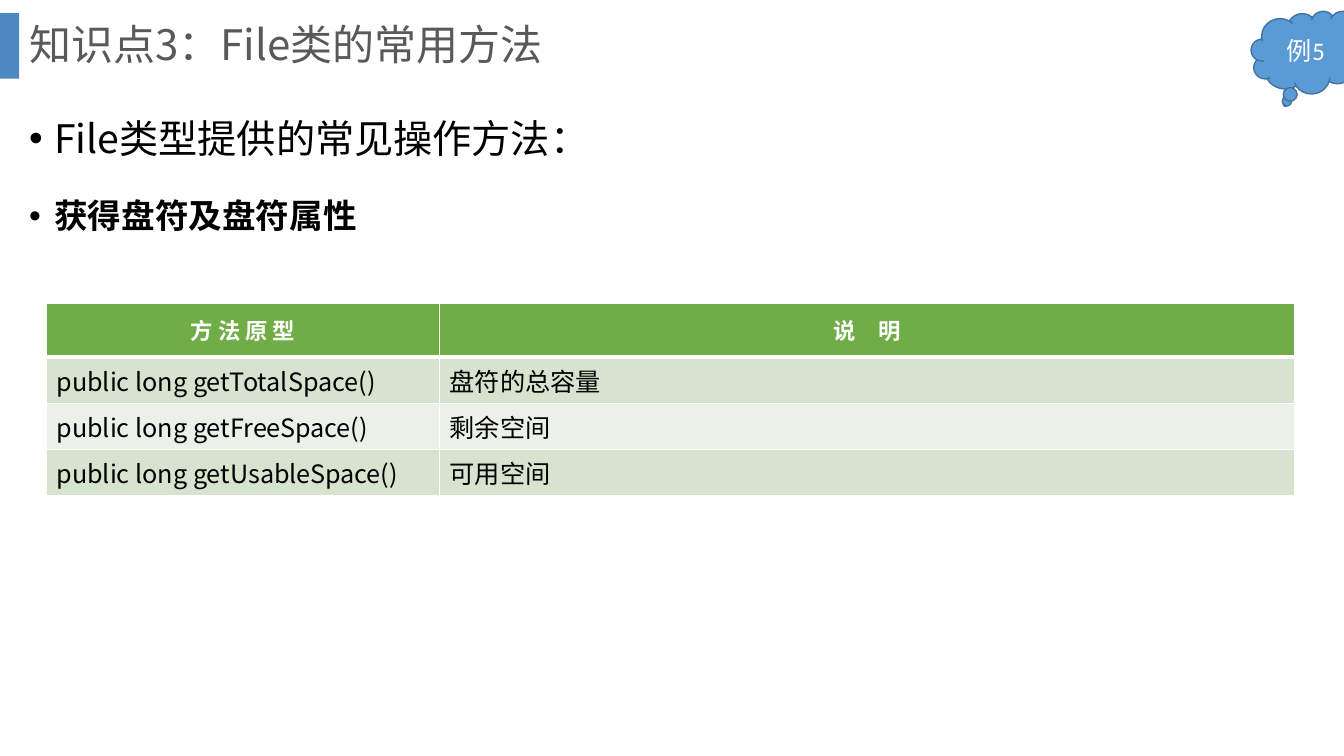
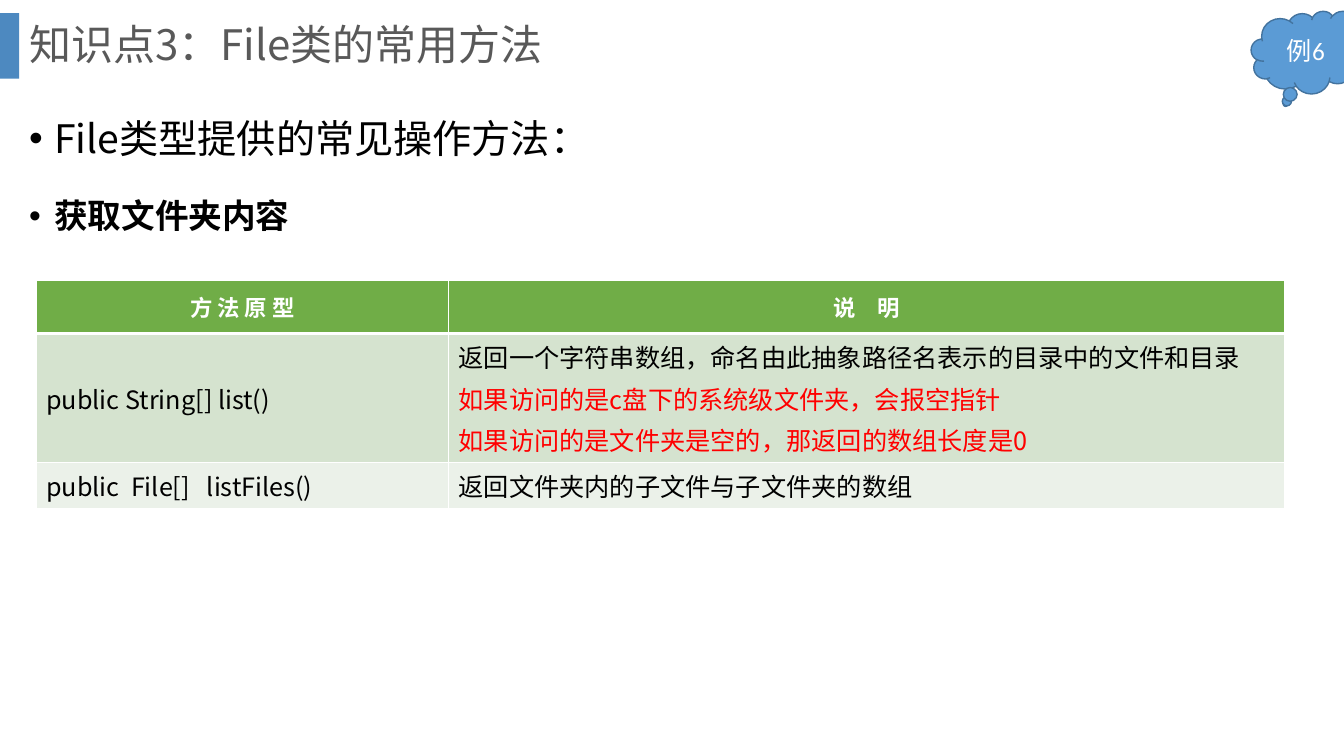
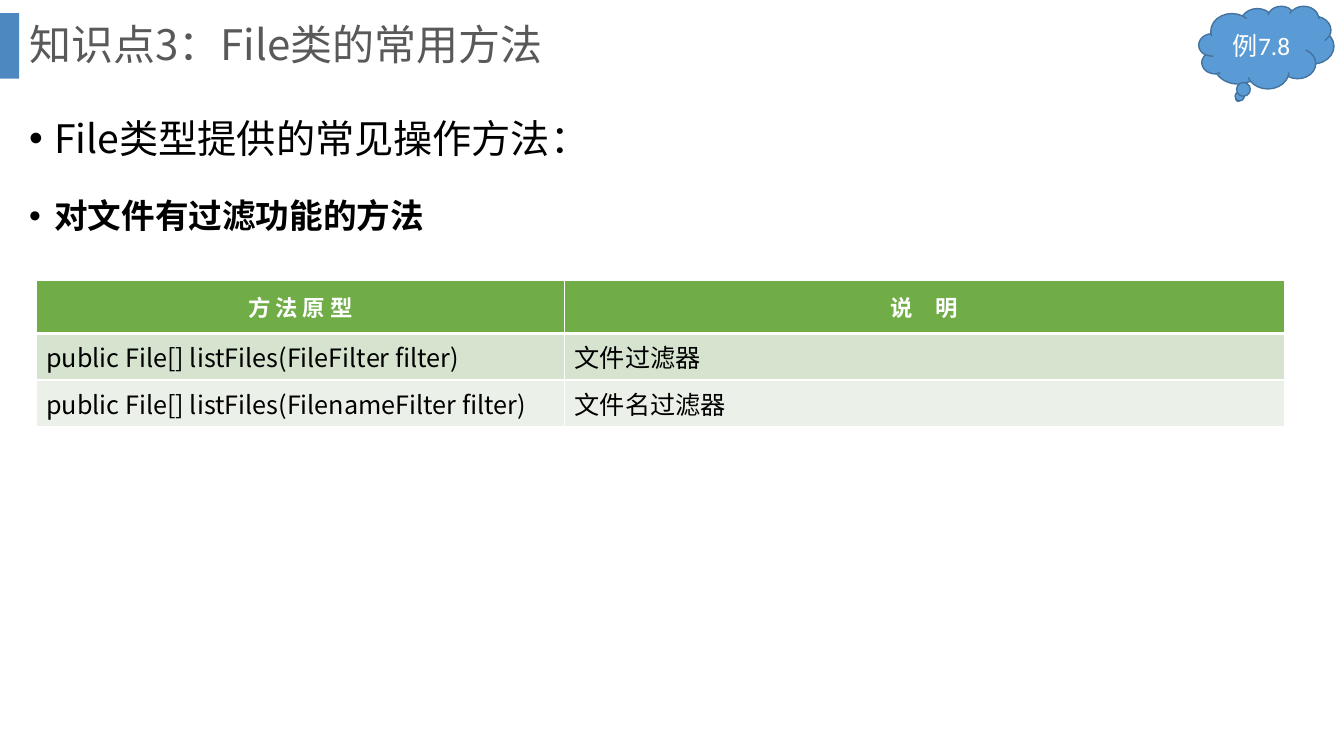
from dataclasses import dataclass

from lxml import etree
from pptx import Presentation
from pptx.dml.color import RGBColor
from pptx.enum.shapes import MSO_SHAPE
from pptx.enum.text import MSO_ANCHOR, PP_ALIGN
from pptx.oxml.ns import qn
from pptx.util import Inches, Pt

RECTANGLE = MSO_SHAPE.RECTANGLE
CLOUD = MSO_SHAPE.CLOUD_CALLOUT
TOP, MIDDLE = MSO_ANCHOR.TOP, MSO_ANCHOR.MIDDLE
LEFT, CENTER = PP_ALIGN.LEFT, PP_ALIGN.CENTER


@dataclass(frozen=True)
class Theme:
    font: str = "Noto Sans CJK SC"
    badge_font: str = "Calibri"
    title: str = "595959"
    text: str = "000000"
    warning: str = "FF0000"
    white: str = "FFFFFF"
    bar: str = "2E75B6"
    header: str = "70AD47"
    bands: tuple = ("D5E3CF", "EBF1E9")
    cloud: str = "5B9BD5"
    cloud_line: str = "43739E"
    title_size: int = 30
    lead_size: int = 28
    topic_size: int = 24
    cell_size: int = 18
    header_size: int = 16


THEME = Theme()
TITLE = "知识点3：File类的常用方法"
LEAD = "File类型提供的常见操作方法："
HEADINGS = ("方 法 原 型", "说　明")
TABLE_WIDTH, HEADER_HEIGHT = 12.38, 0.53
ROW_HEIGHT, EXTRA_LINE_HEIGHT = 0.46, 0.41

# Each description is a list of lines; lines after the first are warnings
SLIDES = [
    {
        "topic": "获得盘符及盘符属性",
        "badge": ("例5", 12.41, 0.11, 1.17),
        "table_at": (0.46, 3.01),
        "method_width": 3.9,
        "methods": [
            ("public long getTotalSpace()", ["盘符的总容量"]),
            ("public long getFreeSpace()", ["剩余空间"]),
            ("public long getUsableSpace()", ["可用空间"]),
        ],
    },
    {
        "topic": "获取文件夹内容",
        "badge": ("例6", 12.41, 0.11, 1.17),
        "table_at": (0.36, 2.78),
        "method_width": 4.09,
        "methods": [
            ("public String[] list()", [
                "返回一个字符串数组，命名由此抽象路径名表示的目录中的文件和目录",
                "如果访问的是c盘下的系统级文件夹，会报空指针",
                "如果访问的是文件夹是空的，那返回的数组长度是0",
            ]),
            ("public  File[]   listFiles()", ["返回文件夹内的子文件与子文件夹的数组"]),
        ],
    },
    {
        "topic": "对文件有过滤功能的方法",
        "badge": ("例7.8", 11.89, 0.06, 1.34),
        "table_at": (0.36, 2.78),
        "method_width": 5.24,
        "methods": [
            ("public File[] listFiles(FileFilter filter)", ["文件过滤器"]),
            ("public File[] listFiles(FilenameFilter filter)", ["文件名过滤器"]),
        ],
    },
]


def write(para, text, size, color, bold=False, align=LEFT, font=THEME.font):
    para.text = text
    para.alignment = align
    para.font.size = Pt(size)
    para.font.bold = bold
    para.font.color.rgb = RGBColor.from_string(color)
    para.font.name = font
    east_asian = etree.SubElement(para.font._element, qn("a:ea"))
    east_asian.set("typeface", THEME.font)


def style_cell(cell, fill, top_width, bottom_width):
    cell.vertical_anchor = MIDDLE
    properties = cell._tc.get_or_add_tcPr()
    edges = {"a:lnL": 1, "a:lnR": 1, "a:lnT": top_width, "a:lnB": bottom_width}
    for edge, width in edges.items():
        line = etree.SubElement(properties, qn(edge), w=str(Pt(width)))
        solid = etree.SubElement(line, qn("a:solidFill"))
        etree.SubElement(solid, qn("a:srgbClr"), val=THEME.white)
    cell.fill.solid()
    cell.fill.fore_color.rgb = RGBColor.from_string(fill)


deck = Presentation()
deck.slide_width, deck.slide_height = Inches(13.33), Inches(7.5)

for content in SLIDES:
    page = deck.slides.add_slide(deck.slide_layouts[6])

    # Accent bar beside the title
    bar = page.shapes.add_shape(RECTANGLE, 0, Inches(0.13), Inches(0.19), Inches(0.65))
    bar.shadow.inherit = False
    bar.fill.solid()
    bar.fill.fore_color.rgb = RGBColor.from_string(THEME.bar)
    bar_color = bar._element.spPr.find(qn("a:solidFill")).find(qn("a:srgbClr"))
    etree.SubElement(bar_color, qn("a:alpha"), val="85000")
    bar.line.fill.background()

    # Title
    title_box = page.shapes.add_textbox(Inches(0.19), 0, Inches(12.66), Inches(0.93))
    title_box.text_frame.word_wrap = True
    title_box.text_frame.vertical_anchor = MIDDLE
    title_para = title_box.text_frame.paragraphs[0]
    title_para.line_spacing = 0.9
    write(title_para, TITLE, THEME.title_size, THEME.title)

    # Bulleted lead and topic
    body_box = page.shapes.add_textbox(Inches(0.19), Inches(0.85), Inches(12.9), Inches(5.96))
    body = body_box.text_frame
    body.word_wrap = True
    body.vertical_anchor = TOP
    bullets = [(LEAD, THEME.lead_size, False), (content["topic"], THEME.topic_size, True)]
    for index, (text, size, bold) in enumerate(bullets):
        para = body.add_paragraph() if index else body.paragraphs[0]
        para.line_spacing = 1.5
        if index:
            para.space_before = Pt(10)
        properties = para._p.get_or_add_pPr()
        properties.set("marL", str(Inches(0.25)))
        properties.set("indent", str(-Inches(0.25)))
        etree.SubElement(properties, qn("a:buFont"), typeface="Arial")
        etree.SubElement(properties, qn("a:buChar"), char="•")
        write(para, text, size, THEME.text, bold)

    # Method table, each row as tall as its description needs
    methods = content["methods"]
    left, top = content["table_at"]
    row_heights = [HEADER_HEIGHT] + [
        ROW_HEIGHT + EXTRA_LINE_HEIGHT * (len(description) - 1) for _, description in methods
    ]
    table = page.shapes.add_table(
        len(row_heights), 2, Inches(left), Inches(top), Inches(TABLE_WIDTH), Inches(sum(row_heights))
    ).table
    table.columns[0].width = Inches(content["method_width"])
    table.columns[1].width = Inches(TABLE_WIDTH - content["method_width"])
    for table_row, row_height in zip(table.rows, row_heights):
        table_row.height = Inches(row_height)
    for column, heading in enumerate(HEADINGS):
        cell = table.cell(0, column)
        style_cell(cell, THEME.header, 1, 3)
        write(cell.text_frame.paragraphs[0], heading, THEME.header_size, THEME.white, True, CENTER)
    for row, (method, description) in enumerate(methods, start=1):
        for column, lines in enumerate(([method], description)):
            cell = table.cell(row, column)
            style_cell(cell, THEME.bands[(row - 1) % 2], 3 if row == 1 else 1, 1)
            for index, text in enumerate(lines):
                para = cell.text_frame.add_paragraph() if index else cell.text_frame.paragraphs[0]
                if index:
                    para.space_before = Pt(3.6)
                write(para, text, THEME.cell_size, THEME.warning if index else THEME.text)

    # Example badge
    label, left, top, width = content["badge"]
    cloud = page.shapes.add_shape(CLOUD, Inches(left), Inches(top), Inches(width), Inches(0.82))
    cloud.shadow.inherit = False
    cloud.fill.solid()
    cloud.fill.fore_color.rgb = RGBColor.from_string(THEME.cloud)
    cloud.line.color.rgb = RGBColor.from_string(THEME.cloud_line)
    cloud.line.width = Pt(1)
    cloud.text_frame.vertical_anchor = MIDDLE
    write(cloud.text_frame.paragraphs[0], label, THEME.cell_size, THEME.white,
          align=CENTER, font=THEME.badge_font)

deck.save("out.pptx")
